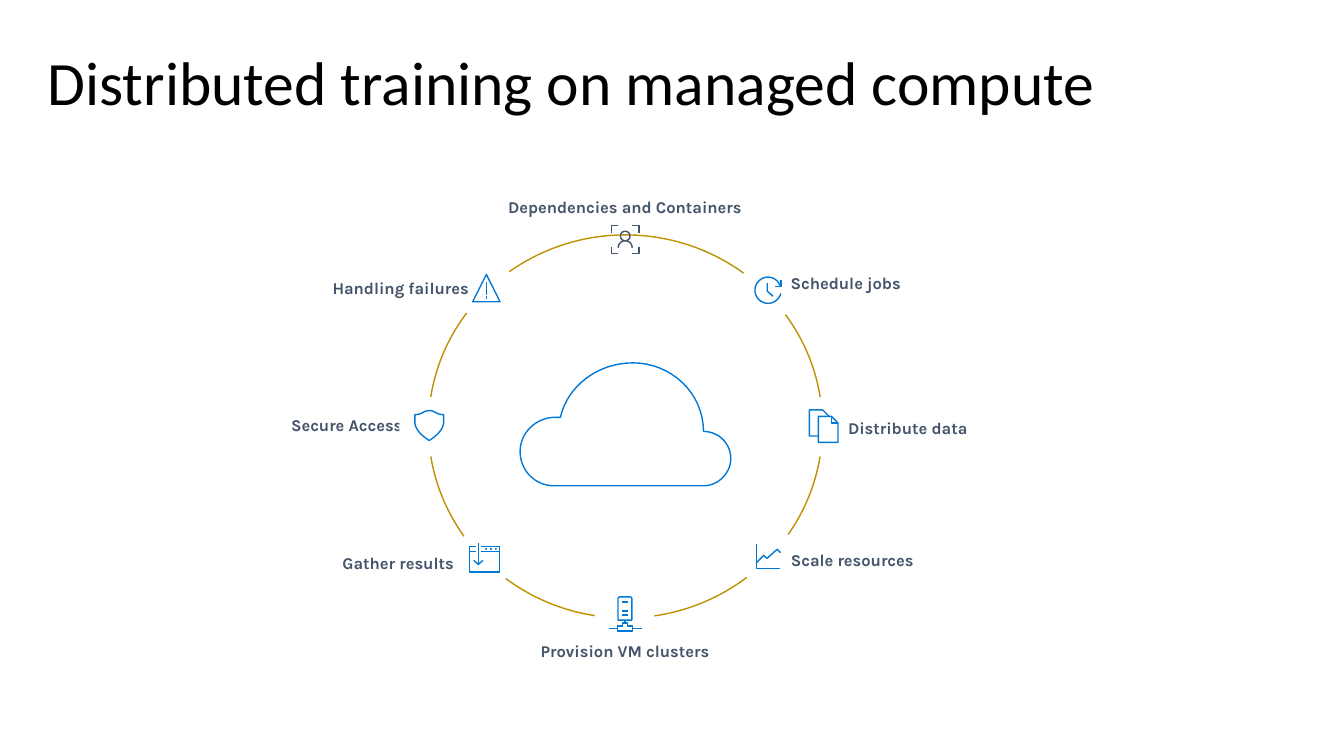
from pptx import Presentation
from pptx.dml.color import RGBColor
from pptx.enum.shapes import MSO_SHAPE
from pptx.enum.text import MSO_ANCHOR, MSO_AUTO_SIZE, PP_ALIGN
from pptx.util import Pt

OVAL = MSO_SHAPE.OVAL
TOP, MIDDLE = MSO_ANCHOR.TOP, MSO_ANCHOR.MIDDLE
LEFT, CENTER = PP_ALIGN.LEFT, PP_ALIGN.CENTER
FIXED = MSO_AUTO_SIZE.NONE

THEME = {
    "ink": "000000", "label": "44546A", "blue": "0078D4", "cloud": "0078D7",
    "gold": "BF9000", "white": "FFFFFF",
    "head_font": "Calibri", "body_font": "Karla",
    "head_size": 44, "body_size": 11.8, "line": 1,
}

# Content
TITLE = "Distributed training on managed compute"
RING = (306, 167.8, 281.5, 273.6)
DISC = 42.5

# Drawings: strokes of points; six numbers make a cubic curve
CLOUD = [
    [(97.2, 87.8), (131, 87.8), (141.8, 87.8, 150.5, 78.5, 150.5, 68.4),
     (150.5, 57.6, 141.8, 49, 131, 49), (131, 21.6, 108, 0, 80.6, 0),
     (55.4, 0, 33.8, 16.6, 28.8, 38.9), (25.2, 38.9),
     (11.5, 38.9, 0, 49.7, 0, 63.4), (0, 76.3, 10.1, 87.8, 24.5, 87.8),
     (97.2, 87.8)],
]
PERSON = [
    [(19.6, 15), (19.6, 20), (14.6, 20)],
    [(19.6, 5), (19.6, 0), (14.6, 0)],
    [(5, 0), (0, 0), (0, 5)],
    [(0, 15), (0, 20), (5, 20)],
    [(9.8, 10.8), (11.7, 10.8, 13.2, 9.3, 13.2, 7.4),
     (13.2, 5.5, 11.7, 4, 9.8, 4), (7.9, 4, 6.4, 5.5, 6.4, 7.4),
     (6.4, 9.3, 7.9, 10.8, 9.8, 10.8)],
    [(14.8, 15.8), (14.8, 13, 12.6, 10.8, 9.8, 10.8),
     (7, 10.8, 4.8, 13, 4.8, 15.8)],
]
CLOCK = [
    [(13, 13.7), (8.8, 10), (8.8, 4.3)],
    [(14.4, 6.5), (18.7, 6.5), (18.7, 2.2)],
    [(18.2, 6.5), (16.8, 2.7, 13.4, 0, 9.4, 0), (4.2, 0, 0, 4.2, 0, 9.4),
     (0, 14.5, 4.2, 18.7, 9.4, 18.7), (13.5, 18.7, 17.2, 15.8, 18.5, 11.7)],
]
FILES = [
    [(20.5, 9.4), (15.8, 9.4), (15.8, 4.7)],
    [(20.5, 9.4), (15.8, 4.7), (6.5, 4.7), (6.5, 23.2), (20.5, 23.2),
     (20.5, 9.4)],
    [(14.2, 4.7), (9.5, 0), (0, 0), (0, 18.7), (6.5, 18.7)],
]
CHART = [
    [(17, 17), (0, 17), (0, 0)],
    [(17, 5.8), (14.6, 3.5), (7.4, 10), (5, 7.8), (0, 13)],
]
SERVER = [
    [(6.1, 24.5), (6.1, 20.9), (9.7, 20.9), (9.7, 18.7), (13.3, 18.7),
     (13.3, 20.9), (16.9, 20.9), (16.9, 24.5), (6.1, 24.5)],
    [(6.1, 22.6), (0, 22.6)],
    [(16.9, 22.6), (23.3, 22.6)],
    [(11.5, 18.7), (11.5, 16.6)],
    [(16.4, 16.6), (16.4, 1.5), (16.4, 0.7, 15.7, 0, 14.9, 0), (8, 0),
     (7.2, 0, 6.5, 0.7, 6.5, 1.5), (6.5, 16.6), (16.4, 16.6)],
] + [[(9.4, y), (13.7, y)] for y in (3.6, 10.1, 13)]
WINDOW = [
    [(7.9, 2.2), (21.4, 2.2), (21.4, 20.4), (0, 20.4), (0, 2.2), (4.6, 2.2)],
    [(7.9, 5.8), (21.4, 5.8)],
    [(0, 5.8), (4.6, 5.8)],
    [(3, 12.2), (6.3, 15.1), (9.6, 12.2)],
    [(6.3, 0), (6.3, 15.1)],
] + [[(x, 4), (x + 0.4, 4), (x + 0.4, 3.6), (x, 3.6), (x, 4)]
     for x in (11.7, 15.1, 18.5)]
SHIELD = [
    [(20.6, 7.9), (20.6, 13, 16.3, 17.5, 10.3, 21.4),
     (4.3, 17.5, 0, 13, 0, 7.9), (0, 2.9), (2.4, 2.9, 4.5, 2.2, 6.6, 0.9),
     (8.8, -0.3, 11.8, -0.3, 14, 0.9), (16.1, 2.2, 18.2, 2.9, 20.6, 2.9),
     (20.6, 7.9)],
]
ALERT = [
    [(0, 19.6), (9.8, 0), (19.6, 19.6), (0, 19.6)],
    [(9.8, 5.8), (9.8, 14.4)],
    [(9.8, 15.8), (9.8, 17.3)],
]

# Label, label centre and width, disc centre, icon and its corner, line colour
STOPS = [
    ("Secure Access", (247.7, 303.8), 99.4, (306.4, 304.9),
     SHIELD, (296.3, 293.3), "blue"),
    ("Gather results", (284.4, 401.8), 83.5, (346.7, 397.8),
     WINDOW, (335.4, 388.1), "blue"),
    ("Handling failures", (286.2, 205.4), 108.7, (346.7, 207),
     ALERT, (337.6, 196), "blue"),
    ("Dependencies and Containers", (446.4, 147.6), 208.8, None,
     PERSON, (436.8, 161.2), "label"),
    ("Scale resources", (608.8, 399.6), 157.7, (549, 397.8),
     CHART, (540.5, 388.9), "blue"),
    ("Schedule jobs", (604.1, 202.3), 142.6, (548.3, 207.7),
     CLOCK, (539.3, 198), "blue"),
    ("Provision VM clusters", (446.4, 465.1), 180.7, (446.2, 439.6),
     SERVER, (435, 426.4), "blue"),
    ("Distribute data", (648.4, 305.3), 157.7, (587.2, 304.9),
     FILES, (578.1, 292.8), "blue"),
]

deck = Presentation()
deck.slide_width, deck.slide_height = Pt(960), Pt(540)
slide = deck.slides.add_slide(deck.slide_layouts[5])
shapes = slide.shapes


def tint(key):
    return RGBColor.from_string(THEME[key])


def style(shape, fill=None, line=None):
    shape.shadow.inherit = False
    if fill:
        shape.fill.solid()
        shape.fill.fore_color.rgb = tint(fill)
    else:
        shape.fill.background()
    if line:
        shape.line.color.rgb = tint(line)
        shape.line.width = Pt(THEME["line"])
    else:
        shape.line.fill.background()


def write(shape, text, kind, color, anchor, align, top=0):
    frame = shape.text_frame
    frame.auto_size, frame.word_wrap = FIXED, True
    frame.vertical_anchor = anchor
    frame.margin_left = frame.margin_right = frame.margin_bottom = 0
    frame.margin_top = Pt(top)
    para = frame.paragraphs[0]
    para.alignment = align
    run = para.add_run()
    run.text = text
    run.font.name = THEME[kind + "_font"]
    run.font.size = Pt(THEME[kind + "_size"])
    run.font.color.rgb = tint(color)
    return para, run


def oval(x, y, w, h, **look):
    style(shapes.add_shape(OVAL, Pt(x), Pt(y), Pt(w), Pt(h)), **look)


def flatten(stroke, steps=16):
    """Turn a stroke with cubic curves into plain points."""
    points = [stroke[0]]
    for part in stroke[1:]:
        if len(part) == 2:
            points.append(part)
            continue
        ends = [points[-1], part[:2], part[2:4], part[4:]]
        for i in range(1, steps + 1):
            t = i / steps
            u = 1 - t
            mix = (u ** 3, 3 * u * u * t, 3 * u * t * t, t ** 3)
            points.append(tuple(sum(m * p[k] for m, p in zip(mix, ends))
                                for k in (0, 1)))
    return points


def draw(strokes, corner, color):
    paths = [[(Pt(corner[0] + x), Pt(corner[1] + y)) for x, y in flatten(s)]
             for s in strokes]
    pen = shapes.build_freeform(*paths[0][0])
    for i, points in enumerate(paths):
        if i:
            pen.move_to(*points[0])
        pen.add_line_segments(points[1:], close=points[0] == points[-1])
    style(pen.convert_to_shape(), line=color)


# Title
title = shapes.title
title.left, title.top, title.width, title.height = Pt(34), Pt(24), Pt(893), Pt(60)
para, run = write(title, TITLE, "head", "ink", TOP, LEFT, top=13)
para.line_spacing = 0.9

# Ring and cloud
oval(*RING, line="gold")
draw(CLOUD, (371.5, 259.2), "cloud")

# Stops on the ring: the first labels lie under their discs
for n, (text, (x, y), width, disc, icon, corner, color) in enumerate(STOPS):
    def label():
        box = shapes.add_textbox(Pt(x - width / 2), Pt(y - 9), Pt(width), Pt(18))
        write(box, text, "body", "label", MIDDLE, CENTER)[1].font.bold = True

    under = n < 2
    if under:
        label()
    if disc:
        oval(disc[0] - DISC / 2, disc[1] - DISC / 2, DISC, DISC, fill="white")
    draw(icon, corner, color)
    if not under:
        label()

deck.save("out.pptx")
